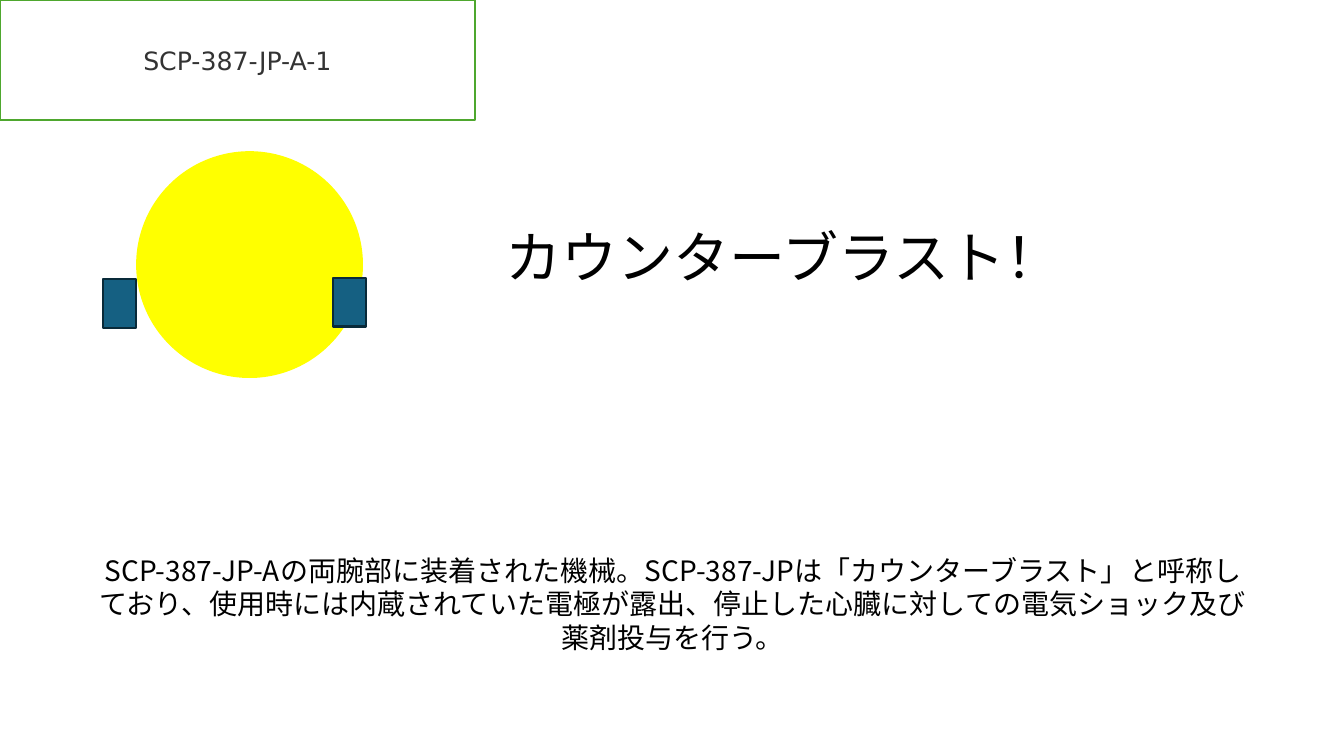
from lxml.etree import SubElement
from pptx import Presentation
from pptx.dml.color import RGBColor
from pptx.enum.shapes import MSO_SHAPE
from pptx.enum.text import MSO_ANCHOR, PP_ALIGN
from pptx.oxml.ns import qn
from pptx.util import Inches, Pt

THEME = {
    "white": "FFFFFF", "black": "000000", "label": "333333",
    "green": "4EA72E", "yellow": "FFFF00", "teal": "156082", "navy": "092A39",
    "label_font": "DejaVu Sans", "japanese_font": "Noto Sans CJK JP",
    "label_size": 18, "body_size": 20, "title_size": 40,
    "outline": 1.5, "leading": 1.2,
}


def color(name):
    return RGBColor.from_string(THEME[name])


def write(shape, text, role, font, ink, align, anchor):
    frame = shape.text_frame
    frame.word_wrap = True
    frame.vertical_anchor = anchor
    frame.text = text
    para = frame.paragraphs[0]
    para.alignment = align
    size = THEME[role]
    para.line_spacing = Pt(size * THEME["leading"])
    span = para.runs[0]
    span.font.size = Pt(size)
    span.font.color.rgb = color(ink)
    span.font.name = THEME[font]
    SubElement(span.font._element, qn("a:ea"), typeface=THEME[font])


deck = Presentation()
deck.slide_width = Inches(13.33)
deck.slide_height = Inches(7.5)
page = deck.slides.add_slide(deck.slide_layouts[6])

description = page.shapes.add_textbox(Inches(0.87), Inches(5.22), Inches(11.6), Inches(1.54))
write(description,
      "SCP-387-JP-Aの両腕部に装着された機械。SCP-387-JPは「カウンターブラスト」と呼称しており、"
      "使用時には内蔵されていた電極が露出、停止した心臓に対しての電気ショック及び薬剤投与を行う。",
      "body_size", "japanese_font", "black", PP_ALIGN.CENTER, MSO_ANCHOR.MIDDLE)

figures = [
    (MSO_SHAPE.RECTANGLE, 0, 0, 4.71, 1.19, "white", "green", "SCP-387-JP-A-1"),
    (MSO_SHAPE.OVAL, 1.35, 1.5, 2.25, 2.25, "yellow", None, None),
    (MSO_SHAPE.RECTANGLE, 1.02, 2.77, 0.33, 0.48, "teal", "navy", None),
    (MSO_SHAPE.RECTANGLE, 3.3, 2.76, 0.33, 0.48, "teal", "navy", None),
]
for kind, left, top, width, height, fill, line, label in figures:
    figure = page.shapes.add_shape(kind, Inches(left), Inches(top), Inches(width), Inches(height))
    figure.shadow.inherit = False
    figure.fill.solid()
    figure.fill.fore_color.rgb = color(fill)
    if line:
        figure.line.color.rgb = color(line)
        figure.line.width = Pt(THEME["outline"])
    else:
        figure.line.fill.background()
    if label:
        write(figure, label, "label_size", "label_font", "label",
              PP_ALIGN.CENTER, MSO_ANCHOR.MIDDLE)

title = page.shapes.add_textbox(Inches(4.92), Inches(2.16), Inches(6.32), Inches(0.77))
write(title, "カウンターブラスト！", "title_size", "japanese_font", "black",
      PP_ALIGN.LEFT, MSO_ANCHOR.TOP)

deck.save("out.pptx")
